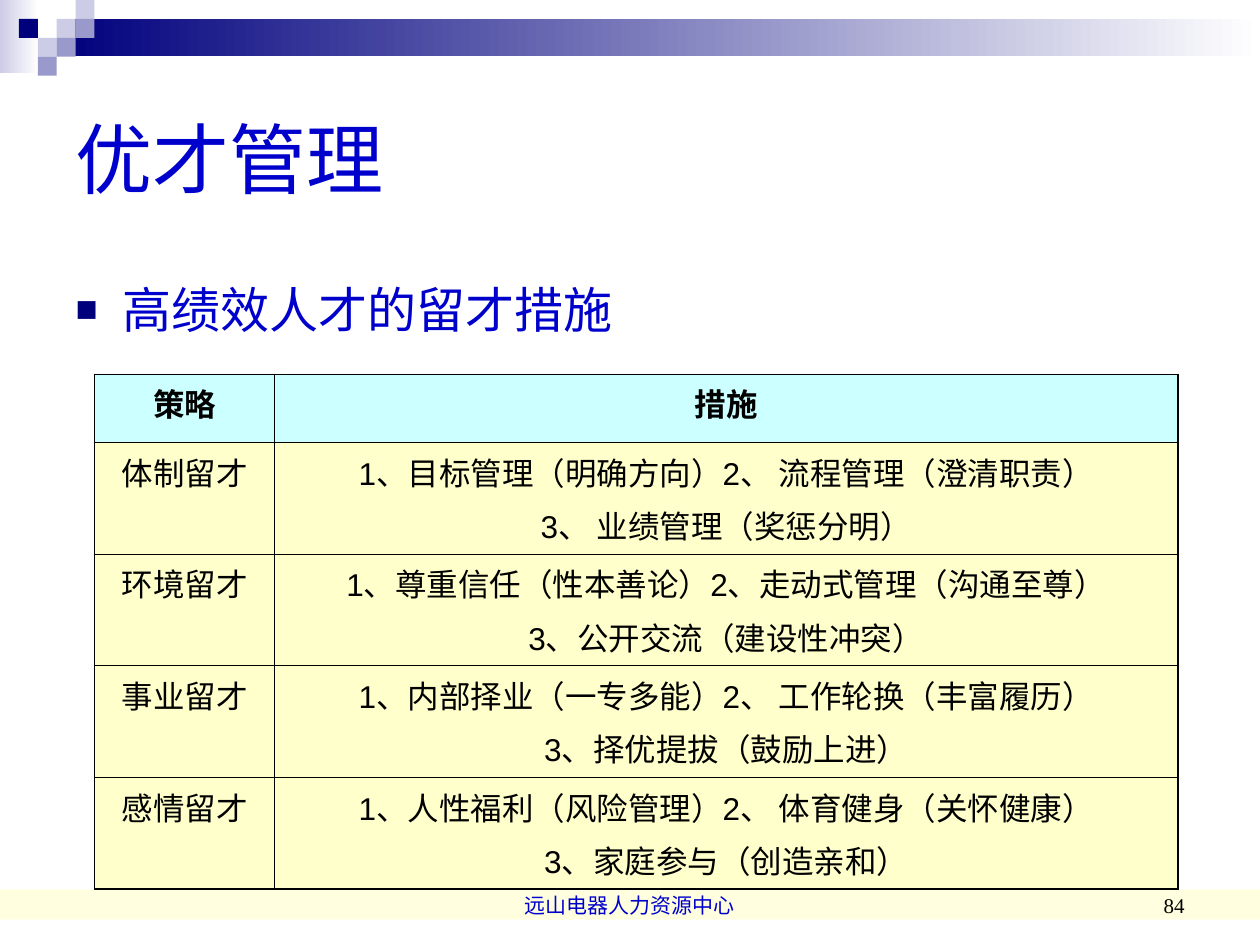
"""Build the slide on measures that keep top talent."""
import pptx
import pptx.util
import pptx.dml.color
import pptx.enum.shapes
import pptx.enum.text
import pptx.oxml
import pptx.oxml.ns
from lxml import etree

Pt = pptx.util.Pt
ALIGN = pptx.enum.text.PP_ALIGN
ANCHOR = pptx.enum.text.MSO_ANCHOR
HUES = {
    "navy": "00007D", "blue": "0000CC", "mid": "9999CC", "pale": "CCCCE6",
    "white": "FFFFFF", "black": "000000", "band": "FFFF99",
    "head": "CCFFFF", "cell": "FFFFCC",
}
UNIT = 10.8
TILES = [
    (3, 1, "pale"), (4, 0, "pale"), (4, 1, "mid"), (2, 2, "pale"),
    (1, 1, "navy"), (3, 2, "mid"), (2, 3, "mid"),
]
ROWS = [
    ("策略", "措施"),
    ("体制留才", "1、目标管理（明确方向）2、 流程管理（澄清职责）\n3、 业绩管理（奖惩分明）"),
    ("环境留才", "1、尊重信任（性本善论）2、走动式管理（沟通至尊）\n3、公开交流（建设性冲突）"),
    ("事业留才", "1、内部择业（一专多能）2、 工作轮换（丰富履历）\n3、择优提拔（鼓励上进）"),
    ("感情留才", "1、人性福利（风险管理）2、 体育健身（关怀健康）\n3、家庭参与（创造亲和）"),
]


def tone(name):
    """Return the colour of a given name."""
    return pptx.dml.color.RGBColor.from_string(HUES[name])


def style(para, size, hue, face="Arial", align=ALIGN.LEFT, bold=False):
    """Set the font and alignment of a paragraph."""
    para.alignment = align
    para.font.size = Pt(size)
    para.font.name = face
    para.font.bold = bold
    para.font.color.rgb = tone(hue)


def add_rect(slide, box, *hues, alpha=None):
    """Draw a borderless rectangle, shaded left to right if given two hues."""
    rect = slide.shapes.add_shape(
        pptx.enum.shapes.MSO_SHAPE.RECTANGLE, *map(Pt, box))
    rect.shadow.inherit = False
    rect.line.fill.background()
    if len(hues) == 2:
        rect.fill.gradient()
        rect.fill.gradient_angle = 0
        for stop, hue in zip(rect.fill.gradient_stops, hues):
            stop.color.rgb = tone(hue)
    else:
        rect.fill.solid()
        rect.fill.fore_color.rgb = tone(hues[0])
    if alpha:
        tint = rect.fill._xPr.find(".//" + pptx.oxml.ns.qn("a:srgbClr"))
        etree.SubElement(tint, pptx.oxml.ns.qn("a:alpha"), val=str(alpha * 1000))


def fill_holder(shape, box, text, size, anchor):
    """Place a placeholder and fill in its text."""
    shape.left, shape.top, shape.width, shape.height = map(Pt, box)
    frame = shape.text_frame
    frame.text = text
    frame.auto_size = pptx.enum.text.MSO_AUTO_SIZE.NONE
    frame.vertical_anchor = anchor
    para = frame.paragraphs[0]
    para.space_before = Pt(0)
    return para


def add_bullet(para):
    """Give a paragraph a square bullet and a hanging indent."""
    props = para._p.get_or_add_pPr()
    props.set("marL", str(Pt(27)))
    props.set("indent", str(Pt(-27)))
    space = pptx.oxml.ns.nsdecls("a")
    for part in (
        f'<a:buClr {space}><a:srgbClr val="{HUES["navy"]}"/></a:buClr>',
        f'<a:buSzPct {space} val="75000"/>',
        f'<a:buFont {space} typeface="Arial"/>',
        f'<a:buChar {space} char="■"/>',
    ):
        props.append(pptx.oxml.parse_xml(part))


def add_edge(cell, side, width):
    """Draw one border of a table cell."""
    space = pptx.oxml.ns.nsdecls("a")
    cell._tc.get_or_add_tcPr().append(pptx.oxml.parse_xml(
        f'<a:ln{side} {space} w="{Pt(width)}"><a:solidFill>'
        f'<a:srgbClr val="{HUES["black"]}"/></a:solidFill></a:ln{side}>'))


def add_grid(slide):
    """Add the table of strategies and measures."""
    widths, heights = (103, 516), [39] + [55.5] * 4
    table = slide.shapes.add_table(
        len(ROWS), 2, Pt(54), Pt(213.7), Pt(sum(widths)), Pt(sum(heights))).table
    table.first_row = table.horz_banding = False
    for col, width in zip(table.columns, widths):
        col.width = Pt(width)
    for r, texts in enumerate(ROWS):
        table.rows[r].height = Pt(heights[r])
        for c, text in enumerate(texts):
            cell = table.cell(r, c)
            outer = {"L": c == 0, "R": c == 1, "T": False, "B": r == len(ROWS) - 1}
            for side, thick in outer.items():
                add_edge(cell, side, 1.08 if thick else 0.45)
            cell.fill.solid()
            cell.fill.fore_color.rgb = tone("cell" if r else "head")
            cell.text = text
            for i, para in enumerate(cell.text_frame.paragraphs):
                para.space_before = Pt(4.5 if i else 0)
                style(para, 18, "black", align=ALIGN.CENTER, bold=r == 0)


def add_note(slide, box, text, hue, align):
    """Add a line of footer text."""
    frame = slide.shapes.add_textbox(*map(Pt, box)).text_frame
    frame.word_wrap = True
    frame.vertical_anchor = ANCHOR.BOTTOM
    frame.text = text
    style(frame.paragraphs[0], 12, hue, "Times New Roman", align)


def main():
    """Build and save the slide."""
    deck = pptx.Presentation()
    deck.slide_width, deck.slide_height = Pt(720), Pt(540)
    slide = deck.slides.add_slide(deck.slide_layouts[1])

    add_rect(slide, (0, 508.3, 720, 17.3), "band", alpha=30)
    add_rect(slide, (0, 0, 22, 41.8), "pale", "white")
    add_rect(slide, (3 * UNIT, UNIT, 720 - 3 * UNIT, 21.4), "navy", "white")
    for col, row, hue in TILES:
        add_rect(slide, (col * UNIT, row * UNIT, UNIT, UNIT), hue)

    title, body = slide.placeholders
    para = fill_holder(title, (36, 36, 648, 108), "优才管理", 44, ANCHOR.MIDDLE)
    style(para, 44, "blue")
    para = fill_holder(body, (36, 156, 403, 306), "高绩效人才的留才措施", 28, ANCHOR.TOP)
    add_bullet(para)
    style(para, 28, "blue")

    add_grid(slide)
    add_note(slide, (246, 492, 228, 36), "远山电器人力资源中心", "blue", ALIGN.CENTER)
    add_note(slide, (516, 492, 168, 36), "84", "black", ALIGN.RIGHT)
    deck.save("out.pptx")


if __name__ == "__main__":
    main()
